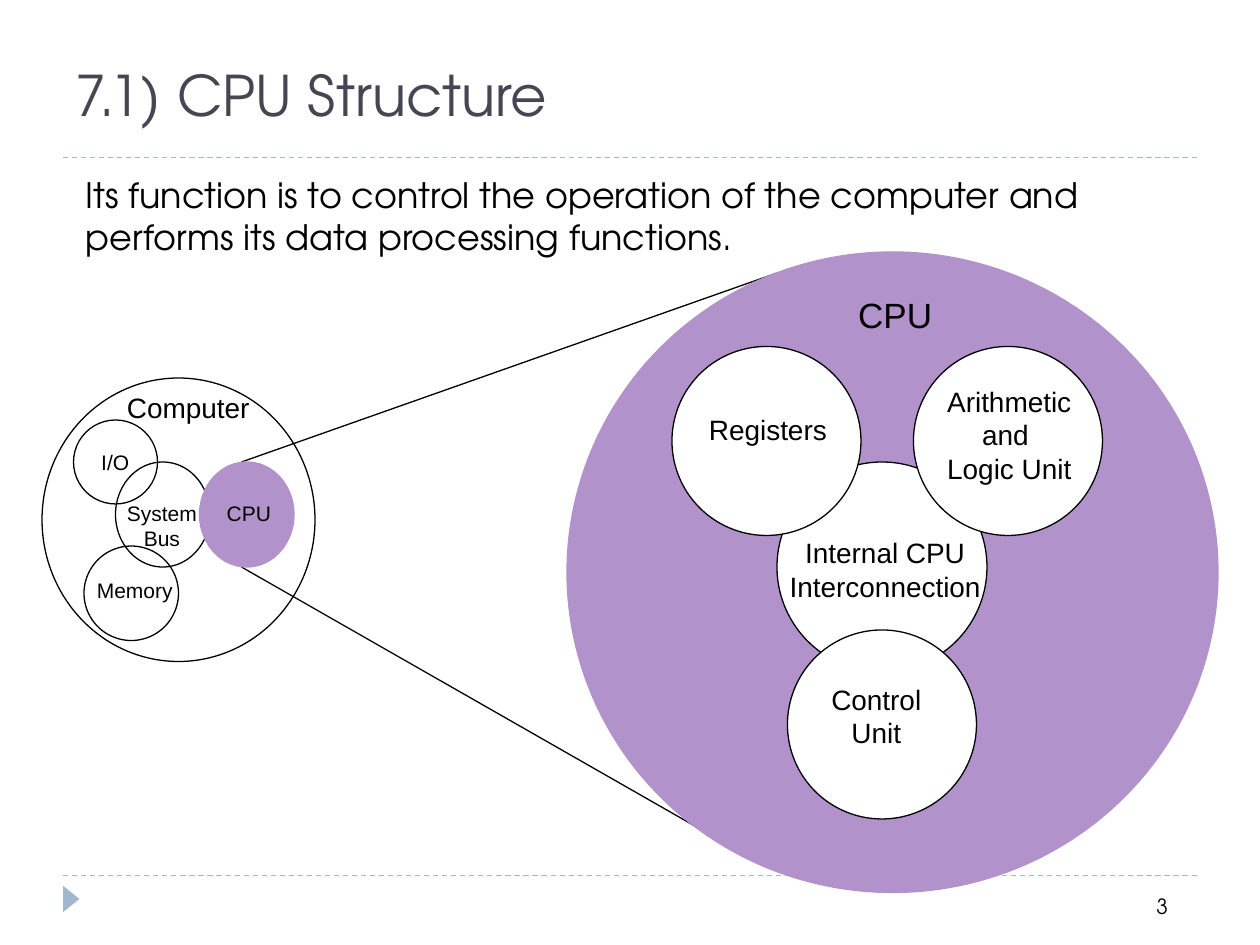
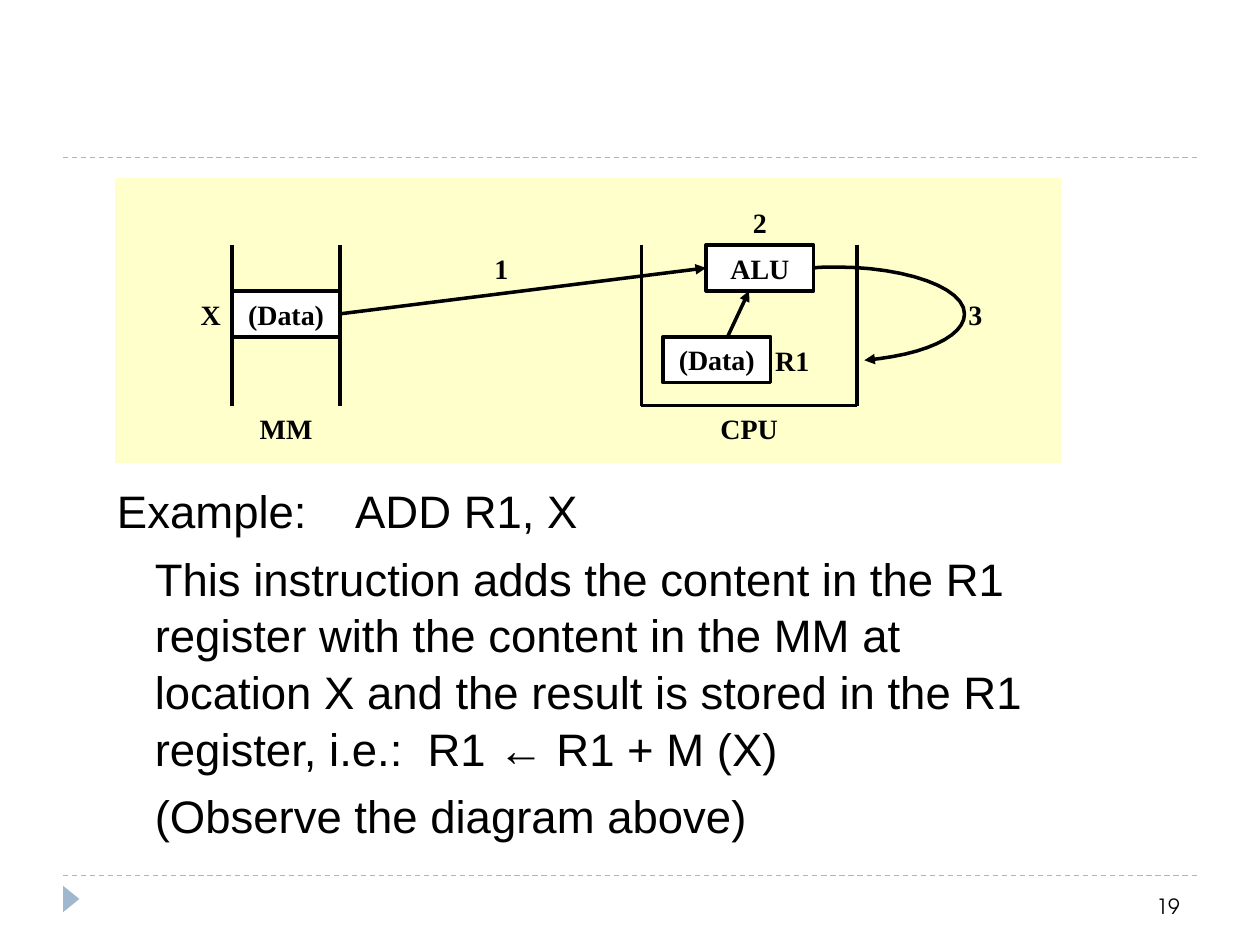
from lxml import etree
from pptx import Presentation
from pptx.dml.color import RGBColor
from pptx.enum.dml import MSO_LINE
from pptx.enum.shapes import MSO_CONNECTOR, MSO_SHAPE
from pptx.enum.text import MSO_ANCHOR, PP_ALIGN
from pptx.oxml.ns import qn
from pptx.util import Inches, Pt

BLACK = RGBColor(0x00, 0x00, 0x00)
WHITE = RGBColor(0xFF, 0xFF, 0xFF)
SLATE = RGBColor(0x46, 0x46, 0x53)
STEEL = RGBColor(0x9F, 0xB8, 0xCD)
PURPLE = RGBColor(0xB2, 0x92, 0xCA)
CREAM = RGBColor(0xFF, 0xFF, 0xCC)

LEFT, CENTER = PP_ALIGN.LEFT, PP_ALIGN.CENTER
TOP, MIDDLE = MSO_ANCHOR.TOP, MSO_ANCHOR.MIDDLE
RECT, OVAL, TRIANGLE = MSO_SHAPE.RECTANGLE, MSO_SHAPE.OVAL, MSO_SHAPE.ISOSCELES_TRIANGLE

DECK = {"name": "TeX Gyre Adventor"}
ARIAL = {"name": "Arial"}
TIMES = {"name": "Times New Roman", "size": Pt(16), "bold": True}

# CPU structure: circles and zoom lines on a grid of twelfths of an inch
TITLE = "7.1) CPU Structure"
INTRO = ("Its function is to control the operation of the computer and "
         "performs its data processing functions.")
ZOOM_LINES = [((23, 44), (74, 26)), ((23, 54), (72, 82))]
CIRCLES = [  # column, row, columns wide, rows high, fill, line
    (11, 44, 9, 10, None, BLACK),      # system bus
    (4, 36, 26, 27, None, BLACK),      # computer
    (19, 44, 9, 10, PURPLE, PURPLE),   # CPU
    (7, 40, 8, 8, None, BLACK),        # I/O
    (8, 52, 9, 9, None, BLACK),        # memory
    (54, 24, 62, 61, PURPLE, PURPLE),  # CPU enlarged
    (74, 44, 20, 20, WHITE, BLACK),    # interconnection
    (64, 33, 18, 18, WHITE, BLACK),    # registers
    (87, 33, 18, 18, WHITE, BLACK),    # arithmetic and logic unit
    (75, 60, 18, 18, WHITE, BLACK),    # control unit
]
CIRCLE_LABELS = [  # lines, box in inches, size
    (["Computer"], (0.91, 3.05, 1.17, 0.37), 16),
    (["I/O"], (0.58, 3.52, 0.67, 0.3), 12),
    (["System", "Bus"], (0.91, 3.92, 0.75, 0.5), 12),
    (["Memory"], (0.67, 4.53, 0.8, 0.3), 12),
    (["CPU"], (1.7, 3.92, 0.55, 0.3), 12),
    (["CPU"], (6.71, 2.28, 0.79, 0.44), 20),
    (["Registers"], (5.53, 3.22, 1.13, 0.37), 16),
    (["Arithmetic", "and ", "Logic Unit"], (7.42, 3, 1.18, 0.9), 16),
    (["Internal CPU", "Interconnection"], (6.17, 4.2, 1.71, 0.64), 16),
    (["Control", "Unit"], (6.5, 5.36, 0.91, 0.64), 16),
]

# ADD example: the diagram has its own grid, 32 columns to the CPU's right wall
# and 4.5 rows to its floor
GRID_X, GRID_Y = 1.33, 1.58
COL, ROW = (6.8 - GRID_X) / 32, (3.22 - GRID_Y) / 4.5
WALLS = [((c, 1), (c, 4.5)) for c in (3, 8, 22, 32)] + [((22, 4.5), (32, 4.5))]
BOXES = [("(Data)", 3, 2), ("ALU", 25, 1), ("(Data)", 23, 3)]
BOX_COLS = 5
DIAGRAM_LABELS = [  # text, column, row, columns wide
    ("X", 0, 2, 4), ("R1", 27, 3, 4), ("CPU", 24, 4.5, 6), ("MM", 3, 4.5, 5),
    ("1", 14, 1, 3), ("2", 26, 0, 3), ("3", 36, 2, 3),
]
ARROWS = [((8, 2.5), (25, 1.5)), ((26, 3), (27, 2))]
RESULT_CURVE = [  # cubic segments, each starting where the last one ends
    [(30, 1.5), (30.35, 1.48), (30.7, 1.48), (31, 1.48)],
    [(31, 1.48), (34.35, 1.48), (37, 1.94), (37, 2.5)],
    [(37, 2.5), (37, 3), (35.1, 3.4), (32.35, 3.51)],
]
CURVE_STEPS = 12
EXAMPLE = [
    "Example:\tADD R1, X",
    "This instruction adds the content in the R1 register with the content in "
    "the MM at location X and the result is stored in the R1 register, "
    "i.e.:  R1 ← R1 + M (X)",
    "(Observe the diagram above)",
]
ADD_TAB, BODY_INDENT = 1.89, 0.3


def inches(*values):
    return [Inches(v) for v in values]


def twelfths(*values):
    return [v / 12 for v in values]


def on_grid(point):
    return GRID_X + point[0] * COL, GRID_Y + point[1] * ROW


def write(sp, lines, font, color=BLACK, align=LEFT, anchor=TOP, side=0.1):
    tf = sp.text_frame
    frame = {"word_wrap": True, "vertical_anchor": anchor,
             "margin_left": Inches(side), "margin_right": Inches(side),
             "margin_top": Inches(0.05), "margin_bottom": Inches(0.05)}
    for key, value in frame.items():
        setattr(tf, key, value)
    for i, line in enumerate(lines):
        p = tf.add_paragraph() if i else tf.paragraphs[0]
        p.alignment = align
        r = p.add_run()
        r.text = line
        for key, value in font.items():
            setattr(r.font, key, value)
        r.font.color.rgb = color
    return tf


def add_text(slide, box, lines, font, **style):
    return write(slide.shapes.add_textbox(*inches(*box)), lines, font, **style)


def paint(sp, fill, line, width=0.75):
    sp.shadow.inherit = False
    if fill is None:
        sp.fill.background()
    else:
        sp.fill.solid()
        sp.fill.fore_color.rgb = fill
    if line is None:
        sp.line.fill.background()
    else:
        sp.line.color.rgb = line
        sp.line.width = Pt(width)
    return sp


def add_shape(slide, kind, box, fill, line, width=0.75):
    return paint(slide.shapes.add_shape(kind, *inches(*box)), fill, line, width)


def add_arrowhead(sp):
    etree.SubElement(sp.line._get_or_add_ln(), qn("a:tailEnd"), type="triangle")


def add_line(slide, start, end, color=BLACK, width=0.75):
    s = slide.shapes.add_connector(MSO_CONNECTOR.STRAIGHT, *inches(*start, *end))
    s.line.color.rgb = color
    s.line.width = Pt(width)
    etree.SubElement(s._element.spPr, qn("a:effectLst"))
    return s


def bezier(points, t):
    """Point at share t of a cubic curve."""
    weights = ((1 - t) ** 3, 3 * t * (1 - t) ** 2, 3 * t * t * (1 - t), t ** 3)
    return tuple(sum(w * p[axis] for w, p in zip(weights, points)) for axis in (0, 1))


def new_slide(prs, number):
    """Blank slide with the dashed rules, footer marker and page number."""
    slide = prs.slides.add_slide(prs.slide_layouts[6])
    for y in (6.95, 1.25):
        add_line(slide, (0.5, y), (9.5, y), STEEL).line.dash_style = MSO_LINE.DASH
    add_shape(slide, TRIANGLE, (0.46, 7.07, 0.21, 0.13), STEEL, None).rotation = 90
    add_text(slide, (9.08, 7.04, 0.9, 0.33), [str(number)], {**DECK, "size": Pt(12)})
    return slide


def build_structure(prs):
    slide = new_slide(prs, 3)
    for start, end in ZOOM_LINES:
        add_line(slide, twelfths(*start), twelfths(*end))
    for *cells, fill, line in CIRCLES:
        add_shape(slide, OVAL, twelfths(*cells), fill, line)
    for lines, box, size in CIRCLE_LABELS:
        add_text(slide, box, lines, {**ARIAL, "size": Pt(size)},
                 align=CENTER, anchor=MIDDLE, side=0)
    add_text(slide, (0.5, 0.25, 8.67, 1), [TITLE], {**DECK, "size": Pt(32)},
             color=SLATE, anchor=MIDDLE)
    add_text(slide, (0.58, 1.33, 8.83, 0.77), [INTRO], {**DECK, "size": Pt(20)})


def add_result_curve(slide):
    points = [on_grid(RESULT_CURVE[0][0])]
    for segment in RESULT_CURVE:
        points += [on_grid(bezier(segment, i / CURVE_STEPS))
                   for i in range(1, CURVE_STEPS + 1)]
    start, *rest = [tuple(inches(*point)) for point in points]
    builder = slide.shapes.build_freeform(*start)
    builder.add_line_segments(rest, close=False)
    add_arrowhead(paint(builder.convert_to_shape(), None, BLACK, 2))


def add_example(slide):
    tf = add_text(slide, (0.83, 3.77, 7.75, 2.92), EXAMPLE,
                  {**ARIAL, "size": Pt(26)})
    for i, p in enumerate(tf.paragraphs):
        pPr = p._p.get_or_add_pPr()
        if i:
            pPr.set("marL", str(Inches(BODY_INDENT)))
            pPr.set("indent", "0")
            p.space_before = Pt(6)
        else:
            tabs = etree.SubElement(pPr, qn("a:tabLst"))
            etree.SubElement(tabs, qn("a:tab"), pos=str(Inches(ADD_TAB)), algn="l")
        p.line_spacing = 1.04


def build_add_example(prs):
    slide = new_slide(prs, 19)
    add_shape(slide, RECT, (0.92, 1.42, 7.5, 2.25), CREAM, CREAM)
    add_example(slide)
    for start, end in WALLS:
        add_line(slide, on_grid(start), on_grid(end), width=2)
    for text, col, row in BOXES:
        sp = add_shape(slide, RECT, (*on_grid((col, row)), BOX_COLS * COL, ROW),
                       WHITE, BLACK, 2)
        write(sp, [text], TIMES, align=CENTER)
    for start, end in ARROWS:
        add_arrowhead(add_line(slide, on_grid(start), on_grid(end), width=2))
    add_result_curve(slide)
    for text, col, row, cols in DIAGRAM_LABELS:
        add_text(slide, (*on_grid((col, row)), cols * COL, ROW), [text], TIMES,
                 align=CENTER)


def main():
    prs = Presentation()
    prs.slide_width, prs.slide_height = inches(10, 7.5)
    build_structure(prs)
    build_add_example(prs)
    prs.save("out.pptx")


if __name__ == "__main__":
    main()
